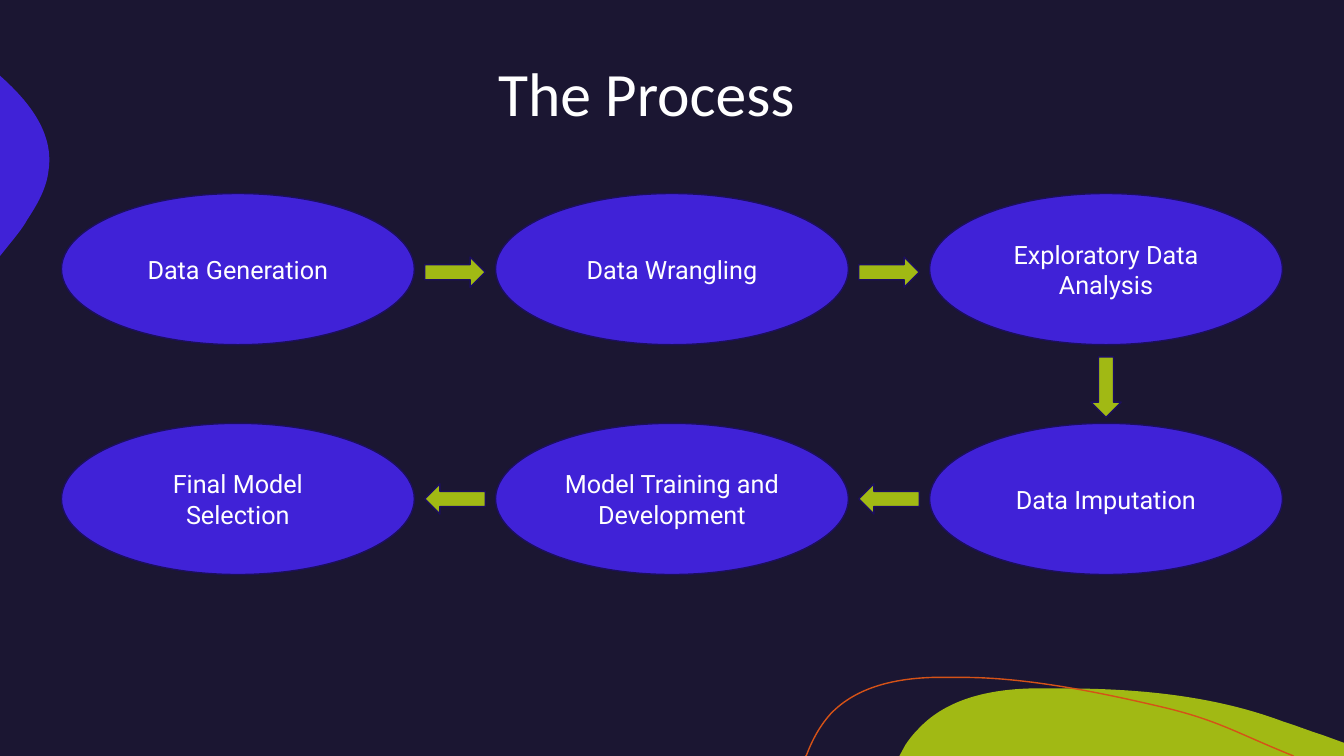
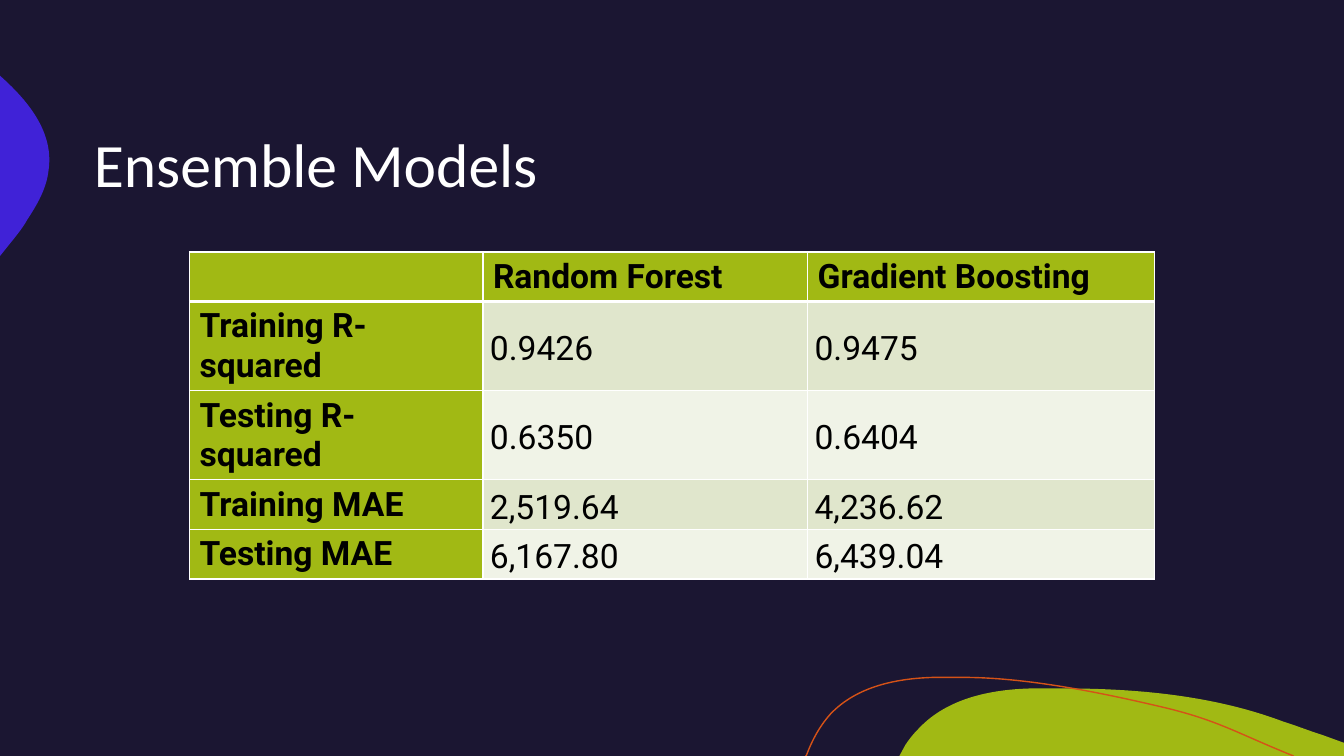
"""Build two slides: the modelling process and the ensemble model results."""
import math
from dataclasses import dataclass
from itertools import pairwise

from lxml import etree
from pptx import Presentation
from pptx import util as u
from pptx.dml.color import RGBColor
from pptx.enum import shapes, text
from pptx.oxml import ns


@dataclass(frozen=True)
class Theme:
    night: str = "1B1632"
    violet: str = "4022D7"
    outline: str = "1C0F5E"
    lime: str = "A1B914"
    orange: str = "D55217"
    white: str = "FFFFFF"
    black: str = "000000"
    bands: tuple = ("E0E6CC", "F0F3E7")
    title_font: str = "Calibri"
    body_font: str = "Roboto"
    title_size: int = 44
    step_size: int = 18
    table_size: int = 24


THEME = Theme()

LIME_HILL = [
    (10.54, 6.83), (11.28, 6.83, 12.04, 6.9, 12.73, 7.16),
    (12.86, 7.2, 12.98, 7.25, 13.11, 7.29), (13.33, 7.37), (13.33, 7.5),
    (8.92, 7.5), (8.98, 7.39), (9.02, 7.33, 9.06, 7.28, 9.11, 7.23),
    (9.39, 6.93, 9.82, 6.84, 10.23, 6.83), (10.33, 6.83, 10.43, 6.83, 10.54, 6.83),
]
VIOLET_EDGE = [
    (0, 0.75), (0.01, 0.76), (0.3, 1.02, 0.54, 1.33, 0.48, 1.7),
    (0.46, 1.87, 0.37, 2.03, 0.27, 2.18), (0.24, 2.24, 0.17, 2.33, 0.08, 2.44),
    (0, 2.54),
]
ORANGE_WAVE = [
    (7.99, 7.5), (8, 7.49), (8.06, 7.33, 8.14, 7.19, 8.24, 7.08),
    (8.5, 6.81, 8.89, 6.73, 9.26, 6.72), (9.55, 6.72),
    (10.22, 6.72, 11, 6.89, 11.55, 7.02), (12.09, 7.15, 12.26, 7.27, 12.83, 7.5),
]

STEPS = [
    ("Data Generation", 0, 0),
    ("Data Wrangling", 1, 0),
    ("Exploratory Data Analysis", 2, 0),
    ("Data Imputation", 2, 1),
    ("Model Training and Development", 1, 1),
    ("Final Model Selection", 0, 1),
]
RESULTS = [
    ("", "Random Forest", "Gradient Boosting"),
    ("Training R-squared", "0.9426", "0.9475"),
    ("Testing R-squared", "0.6350", "0.6404"),
    ("Training MAE", "2,519.64", "4,236.62"),
    ("Testing MAE", "6,167.80", "6,439.04"),
]


def rgb(color):
    return RGBColor.from_string(color)


def inches(*lengths):
    return [u.Inches(length) for length in lengths]


class Deck:
    def __init__(self, theme):
        self.theme = theme
        self.deck = Presentation()
        self.deck.slide_width, self.deck.slide_height = inches(13.33, 7.5)
        self.layout = self.deck.slide_layouts[5]
        self.slide = None
        background = self.deck.slide_master.background.fill
        background.solid()
        background.fore_color.rgb = rgb(theme.night)

    def decorate_layout(self):
        for holder in list(self.layout.placeholders):
            if holder.placeholder_format.idx:
                holder.element.getparent().remove(holder.element)
        waves = [
            self.wave(LIME_HILL, fill=self.theme.lime),
            self.wave(VIOLET_EDGE, fill=self.theme.violet),
            self.wave(ORANGE_WAVE, line=self.theme.orange),
        ]
        for wave in waves:
            self.layout.shapes.element.append(wave.element)

    def add_slide(self, title, left, top, width, height):
        first = self.slide is None
        self.slide = self.deck.slides.add_slide(self.layout)
        if first:
            self.decorate_layout()
        heading = self.slide.shapes.title
        heading.left, heading.top, heading.width, heading.height = inches(
            left, top, width, height)
        heading.text_frame.text = title
        heading.text_frame.vertical_anchor = text.MSO_ANCHOR.MIDDLE
        paragraph = heading.text_frame.paragraphs[0]
        paragraph.alignment = text.PP_ALIGN.LEFT
        paragraph.line_spacing = 0.9
        self.style(paragraph, self.theme.title_font, self.theme.title_size, self.theme.white)

    def style(self, paragraph, name, size, color, bold=False):
        font = paragraph.font
        font.name, font.size, font.bold = name, u.Pt(size), bold
        font.color.rgb = rgb(color)

    def paint(self, shape, fill=None, line=None):
        shape.shadow.inherit = False
        if fill:
            shape.fill.solid()
            shape.fill.fore_color.rgb = rgb(fill)
        else:
            shape.fill.background()
        if line:
            shape.line.color.rgb = rgb(line)
            shape.line.width = u.Pt(1)
        else:
            shape.line.fill.background()
        return shape

    def wave(self, outline, fill=None, line=None):
        start, *segments = outline
        builder = self.slide.shapes.build_freeform(*inches(*start))
        builder.add_line_segments(
            [inches(*segment[-2:]) for segment in segments], close=fill is not None)
        wave = builder.convert_to_shape()
        edges = list(wave.element.iter(ns.qn("a:lnTo")))
        for edge, segment in zip(edges, segments):
            if len(segment) == 6:
                self.bend(edge, segment, wave.left, wave.top)
        return self.paint(wave, fill, line)

    def bend(self, edge, segment, left, top):
        curve = etree.Element(ns.qn("a:cubicBezTo"))
        for x, y in zip(inches(*segment[::2]), inches(*segment[1::2])):
            etree.SubElement(curve, ns.qn("a:pt"), x=str(x - left), y=str(y - top))
        edge.getparent().replace(edge, curve)

    def step(self, label, center_x, center_y, width, height):
        oval = self.slide.shapes.add_shape(
            shapes.MSO_SHAPE.OVAL,
            *inches(center_x - width / 2, center_y - height / 2, width, height))
        self.paint(oval, self.theme.violet, self.theme.outline)
        oval.text_frame.text = label
        oval.text_frame.word_wrap = True
        oval.text_frame.vertical_anchor = text.MSO_ANCHOR.MIDDLE
        paragraph = oval.text_frame.paragraphs[0]
        paragraph.alignment = text.PP_ALIGN.CENTER
        self.style(paragraph, self.theme.body_font, self.theme.step_size, self.theme.white)

    def arrow(self, center_x, center_y, rotation, width=0.3, length=0.6):
        arrow = self.slide.shapes.add_shape(
            shapes.MSO_SHAPE.DOWN_ARROW,
            *inches(center_x - width / 2, center_y - length / 2, width, length))
        arrow.rotation = rotation
        self.paint(arrow, self.theme.lime, self.theme.outline)

    def border(self, cell, side, points):
        line = etree.SubElement(
            cell._tc.get_or_add_tcPr(), ns.qn(f"a:ln{side}"), w=str(u.Pt(points)))
        fill = etree.SubElement(line, ns.qn("a:solidFill"))
        etree.SubElement(fill, ns.qn("a:srgbClr"), val=self.theme.white)

    def table(self, rows, left, top, widths, heights):
        table = self.slide.shapes.add_table(
            len(rows), len(widths),
            *inches(left, top, sum(widths), sum(heights))).table
        table.first_col = True
        for column, width in zip(table.columns, widths):
            column.width = u.Inches(width)
        for row, height in zip(table.rows, heights):
            row.height = u.Inches(height)
        for r, row in enumerate(rows):
            for c, value in enumerate(row):
                self.cell(table.cell(r, c), value, r, c)

    def cell(self, cell, value, row, column):
        heading = row == 0 or column == 0
        thick = {"B": 0, "T": 1}
        for side in "LRTB":
            self.border(cell, side, 3 if thick.get(side) == row else 1)
        cell.fill.solid()
        cell.fill.fore_color.rgb = rgb(
            self.theme.lime if heading else self.theme.bands[(row - 1) % 2])
        cell.vertical_anchor = text.MSO_ANCHOR.MIDDLE
        cell.text = value
        paragraph = cell.text_frame.paragraphs[0]
        self.style(paragraph, self.theme.body_font, self.theme.table_size,
                   self.theme.black, heading)
        if not heading:
            cell.margin_left = cell.margin_right = u.Inches(0.07)
            cell.margin_top = cell.margin_bottom = 0
            paragraph.line_spacing = 1.15
            paragraph.space_after = u.Pt(8)

    def process(self, steps):
        centers = [(2.36 + 4.305 * column, 2.67 + 2.28 * row) for _, column, row in steps]
        for (label, _, _), center in zip(steps, centers):
            self.step(label, *center, 3.5, 1.5)
        for (x1, y1), (x2, y2) in pairwise(centers):
            drop = 0 if x2 < x1 else 0.03
            rotation = (math.degrees(math.atan2(y2 - y1, x2 - x1)) - 90) % 360
            self.arrow((x1 + x2) / 2, (y1 + y2) / 2 + drop, rotation)


def main():
    deck = Deck(THEME)
    deck.add_slide("The Process", 4.84, 0.12, 3.65, 1.67)
    deck.process(STEPS)
    deck.add_slide("Ensemble Models", 0.83, 0.83, 11.67, 1.67)
    deck.table(RESULTS, 1.88, 2.5, (2.91, 3.22, 3.44), (0.49, 0.88, 0.88, 0.49, 0.49))
    deck.deck.save("out.pptx")


if __name__ == "__main__":
    main()
